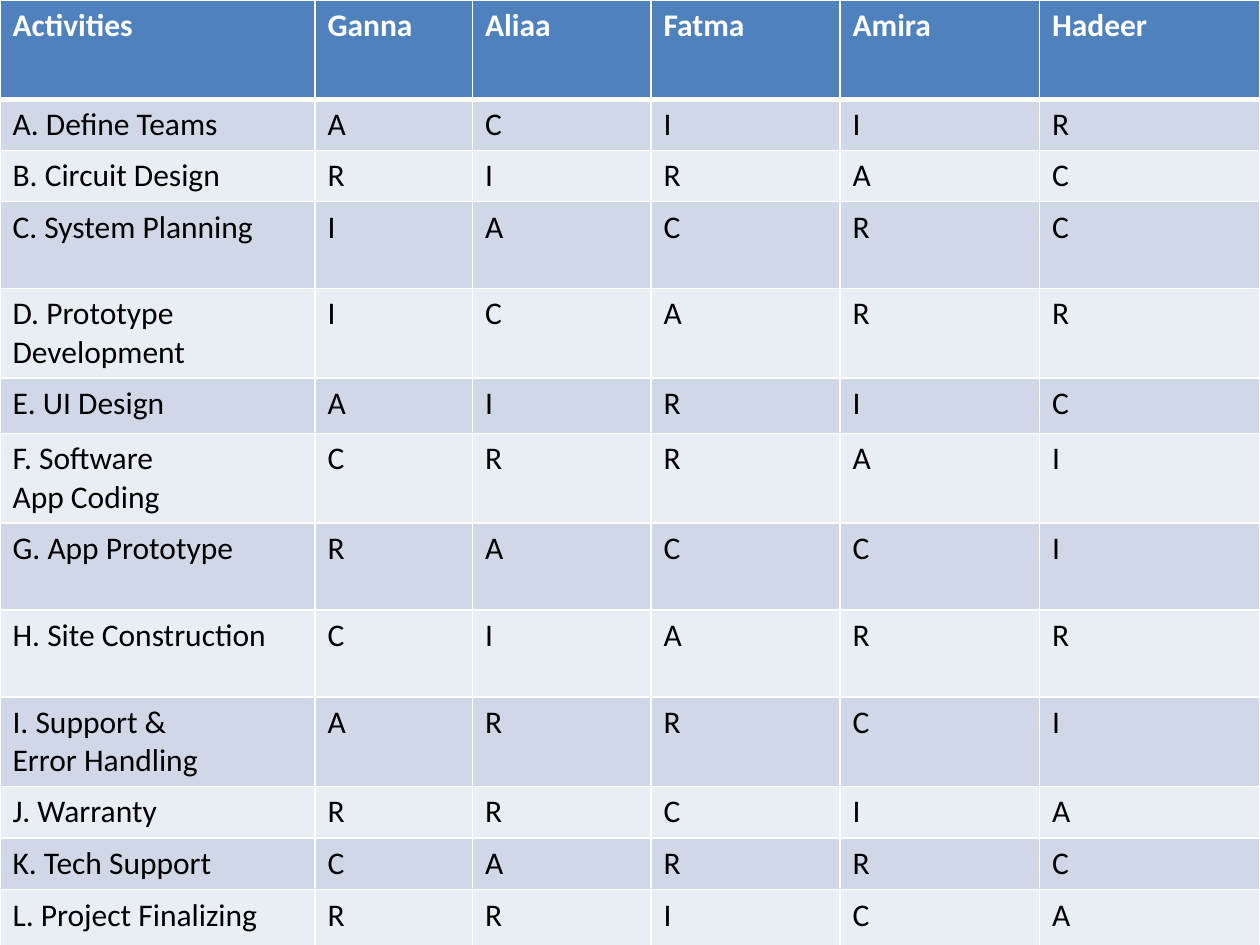
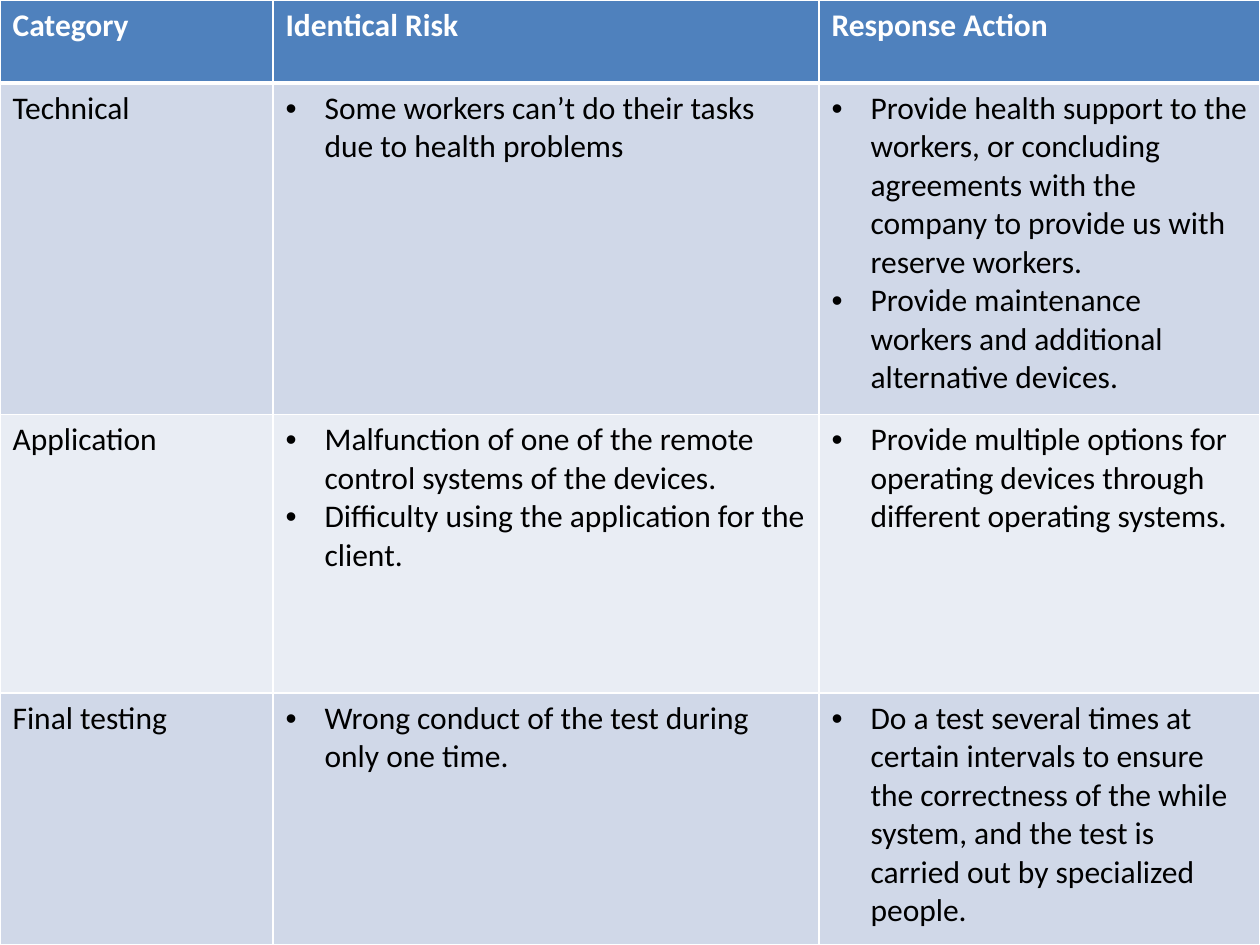
from dataclasses import dataclass

from lxml.etree import SubElement
from pptx import Presentation
from pptx.dml.color import RGBColor
from pptx.oxml.ns import qn
from pptx.util import Inches, Pt

SLIDE_WIDTH, SLIDE_HEIGHT = Inches(10), Inches(7.5)
COLUMN_UNIT = SLIDE_WIDTH // 120
ROW_UNIT = SLIDE_HEIGHT // 750
BLANK_LAYOUT = 6

FONT_NAME, FONT_SIZE = "Calibri", Pt(18)
BULLET_INDENT = Inches(0.31)
THIN_LINE, HEADER_LINE = Pt(1), Pt(3)

WHITE = RGBColor(0xFF, 0xFF, 0xFF)
BLACK = RGBColor(0x00, 0x00, 0x00)
HEADER_BLUE = RGBColor(0x4F, 0x81, 0xBD)
BANDS = (RGBColor(0xD0, 0xD8, 0xE8), RGBColor(0xE9, 0xED, 0xF4))


@dataclass(frozen=True)
class Row:
    """One table row: its height in row units and the text of its cells."""
    height: int
    cells: tuple[str, ...]


@dataclass(frozen=True)
class TablePage:
    """A full-slide table: column widths in column units, header first."""
    widths: tuple[int, ...]
    rows: tuple[Row, ...]
    bulleted: bool = False


def duty(height: int, activity: str, roles: str) -> Row:
    """Make a row from an activity and one role letter per person."""
    return Row(height, (activity, *roles))


RESPONSIBILITIES = TablePage(
    widths=(30, 15, 17, 18, 19, 21),
    rows=(
        Row(79, ("Activities", "Ganna", "Aliaa", "Fatma", "Amira", "Hadeer")),
        duty(39, "A. Define Teams", "ACIIR"),
        duty(39, "B. Circuit Design", "RIRAC"),
        duty(69, "C. System Planning", "IACRC"),
        duty(69, "D. Prototype Development", "ICARR"),
        duty(44, "E. UI Design", "AIRIC"),
        duty(69, "F. Software\nApp Coding", "CRRAI"),
        duty(69, "G. App Prototype", "RACCI"),
        duty(69, "H. Site Construction", "CIARR"),
        duty(69, "I. Support &\nError Handling", "ARRCI"),
        duty(41, "J. Warranty", "RRCIA"),
        duty(41, "K. Tech Support", "CARRC"),
        duty(72, "L. Project Finalizing", "RRICA"),
    ),
)

RISKS = TablePage(
    widths=(26, 52, 42),
    rows=(
        Row(66, ("Category", "Identical Risk", "Response Action")),
        Row(263, (
            "Technical",
            "Some workers can’t do their tasks due to health problems",
            "Provide health support to the workers, or concluding agreements "
            "with the company to provide us with reserve workers.\n"
            "Provide maintenance workers and additional alternative devices.",
        )),
        Row(221, (
            "Application",
            "Malfunction of one of the remote control systems of the devices.\n"
            "Difficulty using the application for the client.",
            "Provide multiple options for operating devices through different "
            "operating systems.",
        )),
        Row(200, (
            "Final testing",
            "Wrong conduct of the test during only one time.",
            "Do a test several times at certain intervals to ensure the "
            "correctness of the while system, and the test is carried out by "
            "specialized people.",
        )),
    ),
    bulleted=True,
)


def set_borders(cell, top: int, bottom: int) -> None:
    """Draw white lines on the four sides of a cell."""
    properties = cell._tc.get_or_add_tcPr()
    sides = {"lnL": THIN_LINE, "lnR": THIN_LINE, "lnT": top, "lnB": bottom}
    for side, width in sides.items():
        line = SubElement(properties, qn(f"a:{side}"), w=str(int(width)))
        fill = SubElement(line, qn("a:solidFill"))
        SubElement(fill, qn("a:srgbClr"), val=str(WHITE))


def add_bullet(para) -> None:
    """Give a paragraph a round bullet with a hanging indent."""
    properties = para._p.get_or_add_pPr()
    properties.set("marL", str(int(BULLET_INDENT)))
    properties.set("indent", str(-int(BULLET_INDENT)))
    SubElement(properties, qn("a:buFont"), typeface="Arial")
    SubElement(properties, qn("a:buChar"), char="•")


def fill_cell(cell, text: str, row_index: int, bulleted: bool) -> None:
    """Write and format one cell as header or banded body."""
    is_header = row_index == 0
    set_borders(cell,
                top=HEADER_LINE if row_index == 1 else THIN_LINE,
                bottom=HEADER_LINE if is_header else THIN_LINE)
    cell.fill.solid()
    cell.fill.fore_color.rgb = (
        HEADER_BLUE if is_header else BANDS[(row_index - 1) % len(BANDS)])
    cell.text_frame.text = text
    for para in cell.text_frame.paragraphs:
        if bulleted:
            add_bullet(para)
        para.font.name, para.font.size = FONT_NAME, FONT_SIZE
        para.font.bold = is_header
        para.font.color.rgb = WHITE if is_header else BLACK


def add_table_page(deck, page: TablePage) -> None:
    """Add a slide covered by one table."""
    slide = deck.slides.add_slide(deck.slide_layouts[BLANK_LAYOUT])
    height = sum(row.height for row in page.rows) * ROW_UNIT
    table = slide.shapes.add_table(
        len(page.rows), len(page.widths), 0, 0, SLIDE_WIDTH, height).table
    for column, width in zip(table.columns, page.widths):
        column.width = width * COLUMN_UNIT
    for row_index, row in enumerate(page.rows):
        table.rows[row_index].height = row.height * ROW_UNIT
        for column_index, text in enumerate(row.cells):
            bulleted = page.bulleted and row_index > 0 and column_index > 0
            fill_cell(table.cell(row_index, column_index), text, row_index, bulleted)


def main() -> None:
    """Build and save the deck."""
    deck = Presentation()
    deck.slide_width, deck.slide_height = SLIDE_WIDTH, SLIDE_HEIGHT
    for page in (RESPONSIBILITIES, RISKS):
        add_table_page(deck, page)
    deck.save("out.pptx")


main()
